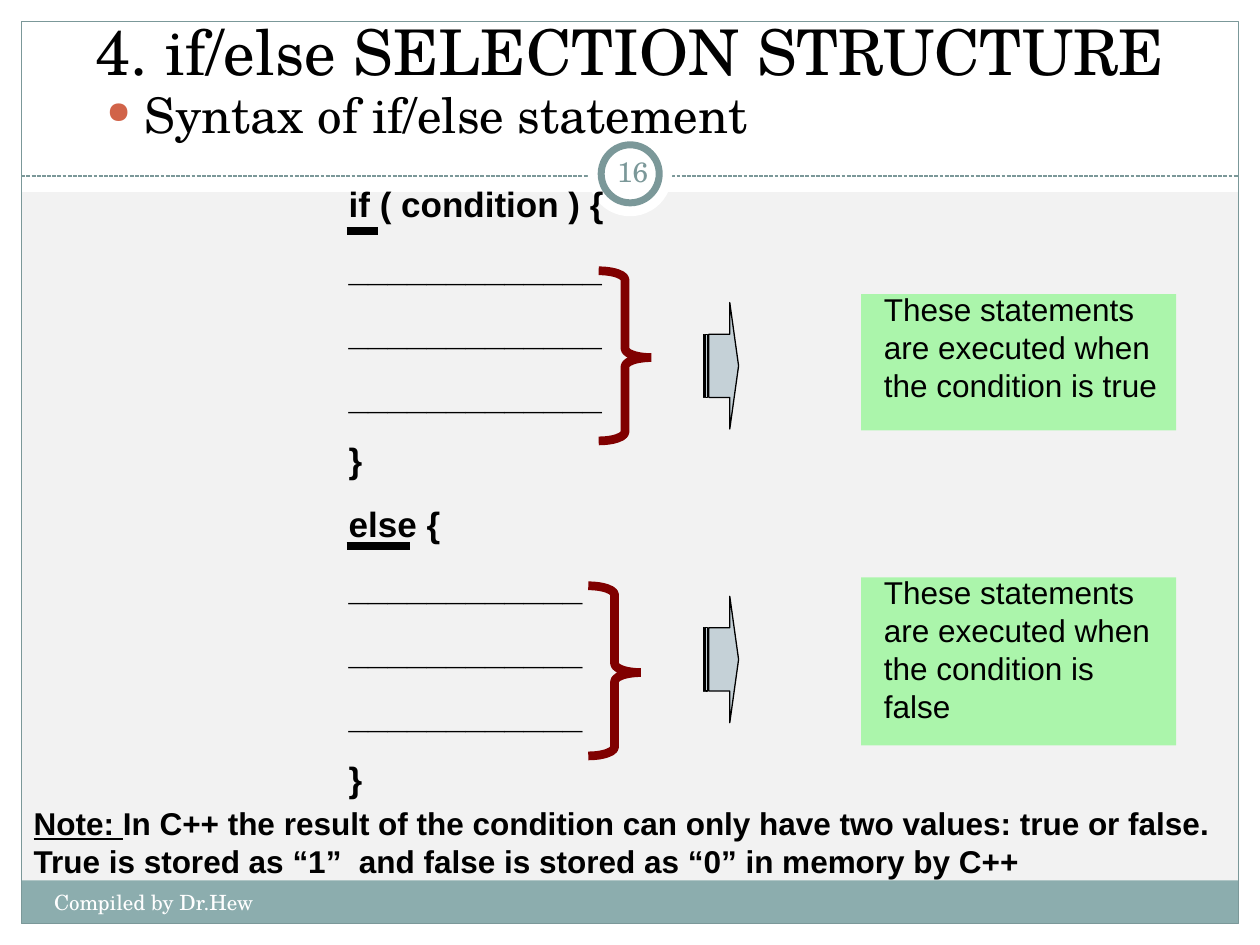
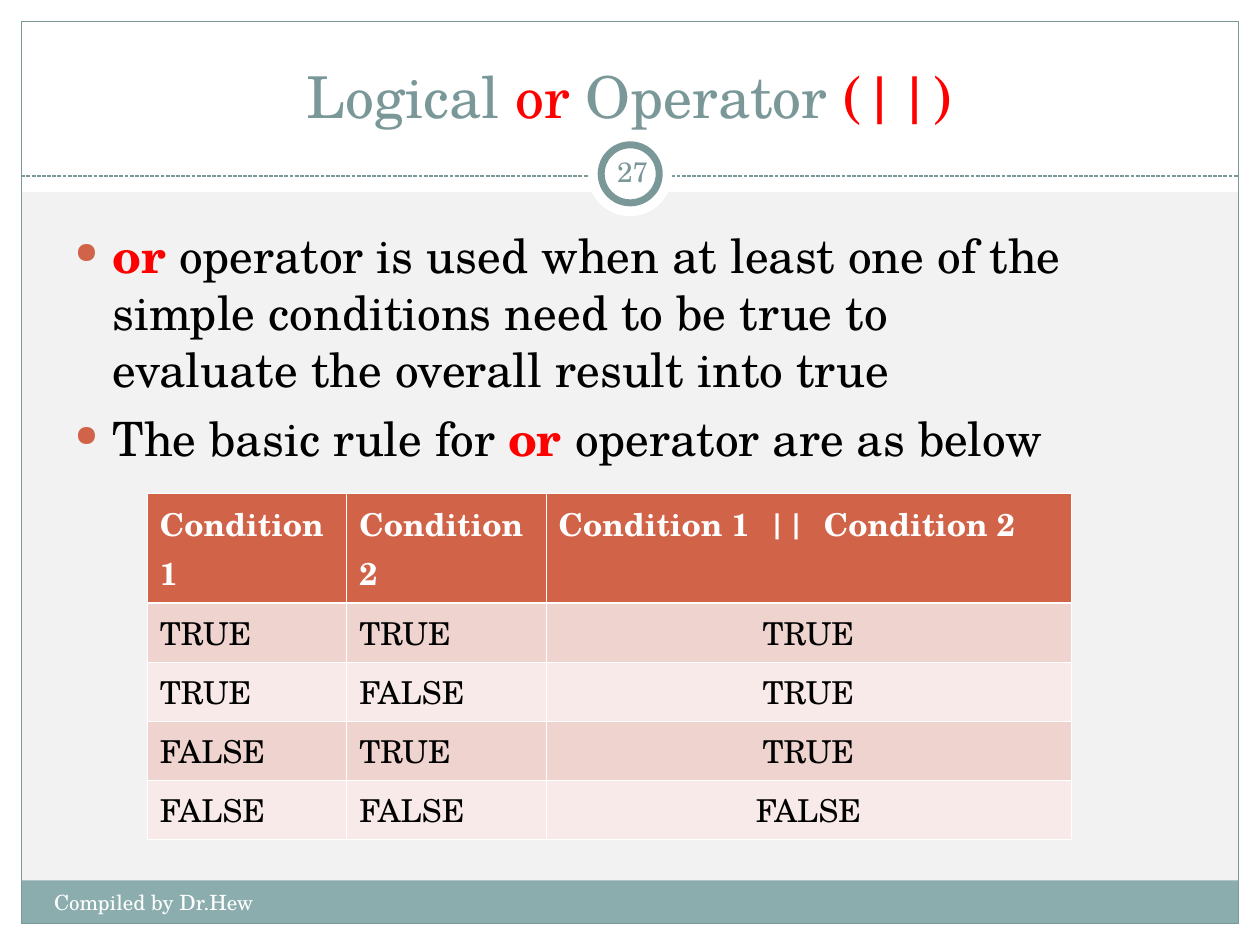
from dataclasses import dataclass

from pptx import Presentation
from pptx.dml.color import RGBColor
from pptx.enum.dml import MSO_LINE
from pptx.enum.shapes import MSO_CONNECTOR, MSO_SHAPE
from pptx.enum.text import MSO_ANCHOR, PP_ALIGN
from pptx.oxml.ns import qn
from pptx.util import Cm, Pt
from lxml.etree import SubElement


@dataclass(frozen=True)
class Theme:
    serif: str = "TeX Gyre Schola"
    sans: str = "Arial"
    background: str = "F2F2F2"
    white: str = "FFFFFF"
    black: str = "000000"
    teal: str = "7B9899"
    band: str = "8CADAE"
    orange: str = "D16349"
    red: str = "FF0000"
    brace: str = "800000"
    arrow: str = "C5D1D7"
    green: str = "00FF00"
    row_fills: tuple = ("EED3CF", "F7EAE9")
    title_size: int = 36
    operator_title_size: int = 33
    syntax_size: int = 28
    bullet_size: int = 27
    code_size: int = 20
    body_size: int = 18
    number_size: int = 16
    footer_size: int = 12


THEME = Theme()
WIDTH, HEIGHT = 25.4, 19.05
MARGIN = 0.43
INNER_WIDTH = WIDTH - 2 * MARGIN


def add_bullet(paragraph):
    properties = paragraph._p.get_or_add_pPr()
    properties.set("marL", str(Cm(0.76)))
    properties.set("indent", str(-Cm(0.76)))
    color = SubElement(properties, qn("a:buClr"))
    SubElement(color, qn("a:srgbClr"), val=THEME.orange)
    SubElement(properties, qn("a:buSzPct"), val="62000")
    SubElement(properties, qn("a:buChar"), char="●")


def write_text(frame, paragraphs, *, size, font=THEME.serif, color=THEME.black, bold=False,
               align=PP_ALIGN.LEFT, space_before=0, line_spacing=None, bullet=False):
    """Fill a frame; a paragraph is a string or a list of strings and (text, changes) pairs."""
    for index, runs in enumerate(paragraphs):
        paragraph = frame.add_paragraph() if index else frame.paragraphs[0]
        if bullet:
            add_bullet(paragraph)
        paragraph.alignment = align
        if index:
            paragraph.space_before = Pt(space_before)
        if line_spacing:
            paragraph.line_spacing = line_spacing
        for part in [runs] if isinstance(runs, str) else runs:
            text, changes = (part, {}) if isinstance(part, str) else part
            run = paragraph.add_run()
            run.text = text
            run.font.name = font
            run.font.size = Pt(size)
            run.font.bold = changes.get("bold", bold)
            run.font.underline = changes.get("underline", False)
            run.font.color.rgb = RGBColor.from_string(changes.get("color", color))


def set_borders(cell, widths):
    """Draw white cell borders; widths maps a side letter to points."""
    properties = cell._tc.get_or_add_tcPr()
    for side, width in widths.items():
        line = SubElement(properties, qn(f"a:ln{side}"), w=str(Pt(width)))
        fill = SubElement(line, qn("a:solidFill"))
        SubElement(fill, qn("a:srgbClr"), val=THEME.white)


class Deck:
    def __init__(self, theme):
        self.theme = theme
        self.presentation = Presentation()
        self.presentation.slide_width = Cm(WIDTH)
        self.presentation.slide_height = Cm(HEIGHT)
        self.slide = None

    def shape(self, kind, left, top, width, height, fill=None, line=None, weight=0.75,
              alpha=None, adjustments=()):
        shape = self.slide.shapes.add_shape(kind, Cm(left), Cm(top), Cm(width), Cm(height))
        shape.shadow.inherit = False
        for index, value in enumerate(adjustments):
            shape.adjustments[index] = value
        if fill:
            shape.fill.solid()
            shape.fill.fore_color.rgb = RGBColor.from_string(fill)
            if alpha:
                color = shape.fill._xPr.find(qn("a:solidFill"))[0]
                SubElement(color, qn("a:alpha"), val=str(alpha * 1000))
        else:
            shape.fill.background()
        if line:
            shape.line.color.rgb = RGBColor.from_string(line)
            shape.line.width = Pt(weight)
        else:
            shape.line.fill.background()
        return shape

    def line(self, left, top, length, color, weight, dash=None):
        connector = self.slide.shapes.add_connector(
            MSO_CONNECTOR.STRAIGHT, Cm(left), Cm(top), Cm(left + length), Cm(top))
        connector.line.color.rgb = RGBColor.from_string(color)
        connector.line.width = Pt(weight)
        if dash:
            connector.line.dash_style = dash
        SubElement(connector._element.spPr, qn("a:effectLst"))

    def text(self, left, top, width, height, paragraphs, anchor=MSO_ANCHOR.TOP,
             side_inset=0.25, **text_format):
        box = self.slide.shapes.add_textbox(Cm(left), Cm(top), Cm(width), Cm(height))
        frame = box.text_frame
        frame.word_wrap = True
        frame.vertical_anchor = anchor
        frame.margin_left = frame.margin_right = Cm(side_inset)
        frame.margin_top = frame.margin_bottom = Cm(0.13)
        write_text(frame, paragraphs, **text_format)

    def title(self, left, top, width, height, runs, **text_format):
        self.text(left, top, width, height, [runs], anchor=MSO_ANCHOR.BOTTOM,
                  align=PP_ALIGN.CENTER, **text_format)

    def new_slide(self, number):
        """Add a slide with the shared frame, footer and page number."""
        theme = self.theme
        self.slide = self.presentation.slides.add_slide(self.presentation.slide_layouts[6])
        background = self.slide.background.fill
        background.solid()
        background.fore_color.rgb = RGBColor.from_string(theme.background)
        for edge in ((0, HEIGHT - MARGIN, WIDTH, MARGIN), (0, 0, WIDTH, 3.87),
                     (0, 0, MARGIN, HEIGHT), (WIDTH - MARGIN, 0, MARGIN, HEIGHT)):
            self.shape(MSO_SHAPE.RECTANGLE, *edge, fill=theme.white)
        self.shape(MSO_SHAPE.RECTANGLE, MARGIN, 17.75, INNER_WIDTH, 0.87, fill=theme.band)
        self.shape(MSO_SHAPE.RECTANGLE, MARGIN, MARGIN, INNER_WIDTH, HEIGHT - 2 * MARGIN,
                   line=theme.teal)
        self.line(MARGIN, 3.55, INNER_WIDTH, theme.teal, 0.75, MSO_LINE.SQUARE_DOT)
        self.shape(MSO_SHAPE.OVAL, 11.85, 2.66, 1.7, 1.7, fill=theme.white)
        self.shape(MSO_SHAPE.OVAL, 12.12, 2.92, 1.17, 1.17, fill=theme.white,
                   line=theme.teal, weight=4)
        self.text(12.12, 2.85, 1.27, 1.22, [str(number)], anchor=MSO_ANCHOR.MIDDLE,
                  side_inset=0.13, align=PP_ALIGN.CENTER, size=theme.number_size,
                  color=theme.teal)
        self.text(0.84, 17.81, 9.96, 1.02, ["Compiled by Dr.Hew"],
                  size=theme.footer_size, color=theme.white)

    def branch(self, brace_left, brace_top, arrow_top, note_top, note_height, outcome):
        """Add the brace, arrow and green note that explain one block of statements."""
        theme = self.theme
        brace = self.shape(MSO_SHAPE.RIGHT_BRACE, brace_left, brace_top, 1.06, 3.43,
                           line=theme.brace, weight=5, adjustments=(0.17, 0.51))
        SubElement(brace._element.spPr.find(qn("a:ln")), qn("a:bevel"))
        self.shape(MSO_SHAPE.STRIPED_RIGHT_ARROW, 14.18, arrow_top, 0.71, 2.55,
                   fill=theme.arrow, line=theme.black, adjustments=(0.5, 0.25))
        self.shape(MSO_SHAPE.RECTANGLE, 17.36, note_top, 6.35, note_height,
                   fill=theme.green, alpha=29)
        self.text(17.57, note_top - 0.21, 6.14, note_height,
                  [f"These statements are executed when the condition is {outcome}"],
                  size=theme.body_size, font=theme.sans)

    def truth_table(self, left, top, column_widths, header_height, row_height, rows):
        theme = self.theme
        heights = [header_height] + [row_height] * (len(rows) - 1)
        table = self.slide.shapes.add_table(
            len(rows), len(column_widths), Cm(left), Cm(top),
            Cm(sum(column_widths)), Cm(sum(heights))).table
        for column, width in zip(table.columns, column_widths):
            column.width = Cm(width)
        for row_index, (values, height) in enumerate(zip(rows, heights)):
            table.rows[row_index].height = Cm(height)
            header = row_index == 0
            for column_index, value in enumerate(values):
                cell = table.cell(row_index, column_index)
                set_borders(cell, {"L": 0.45, "R": 0.45,
                                   "T": 1.47 if row_index == 1 else 0.45,
                                   "B": 1.47 if header else 0.45})
                cell.fill.solid()
                fill = theme.orange if header else theme.row_fills[(row_index - 1) % 2]
                cell.fill.fore_color.rgb = RGBColor.from_string(fill)
                centred = column_index == 2 and not header
                write_text(cell.text_frame, [value], size=theme.body_size, bold=header,
                           color=theme.white if header else theme.black,
                           align=PP_ALIGN.CENTER if centred else PP_ALIGN.LEFT)


def build_selection_slide(deck):
    theme = deck.theme
    deck.new_slide(16)
    deck.title(0, -0.25, WIDTH, 2.16, "4. if/else SELECTION STRUCTURE", size=theme.title_size)
    deck.text(1.9, 1.7, 22.86, 1.47, ["Syntax of if/else statement"],
              size=theme.syntax_size, line_spacing=0.9, bullet=True)
    code = ["if ( condition ) {", *["_" * 13] * 3, "}", "else {", *["_" * 12] * 3, "}"]
    deck.text(6.78, 3.55, 9.96, 12.7, code, size=theme.code_size, font=theme.sans,
              bold=True, space_before=12.5)
    deck.branch(12.07, 5.46, 6.1, 5.93, 2.75, "true")
    deck.branch(11.86, 11.81, 12.02, 11.64, 3.39, "false")
    note = [("Note: ", {"underline": True}),
            "In C++ the result of the condition can only have two values: true or false. "
            "True is stored as “1”  and false is stored as “0” in memory by C++"]
    deck.text(0.43, 16.08, 24.55, 1.78, [note], size=theme.body_size, font=theme.sans, bold=True)
    for top, length in ((4.66, 0.64), (11.01, 1.27)):
        deck.line(6.99, top, length, theme.black, 4.5)


def build_operator_slide(deck):
    theme = deck.theme
    red, keyword = {"color": theme.red}, {"color": theme.red, "bold": True}
    deck.new_slide(27)
    deck.title(0.84, 0.64, 23.7, 2.12, ["Logical ", ("or", red), " Operator ", ("(||)", red)],
               size=theme.operator_title_size, color=theme.teal)
    rules = [
        [("or", keyword), " operator is used when at least one of the simple conditions "
                          "need to be true to evaluate the overall result into true"],
        ["The basic rule for ", ("or ", keyword), "operator are as below"],
    ]
    deck.text(1.26, 4.44, 20.75, 13.55, rules, size=theme.bullet_size, space_before=6.8,
              bullet=True)
    deck.truth_table(2.97, 9.95, (4.02, 4.02, 10.58), 2.21, 1.19, [
        ("Condition 1", "Condition 2", "Condition 1  ||  Condition 2"),
        ("TRUE", "TRUE", "TRUE"),
        ("TRUE", "FALSE", "TRUE"),
        ("FALSE", "TRUE", "TRUE"),
        ("FALSE", "FALSE", "FALSE"),
    ])


def main():
    deck = Deck(THEME)
    build_selection_slide(deck)
    build_operator_slide(deck)
    deck.presentation.save("out.pptx")


if __name__ == "__main__":
    main()
